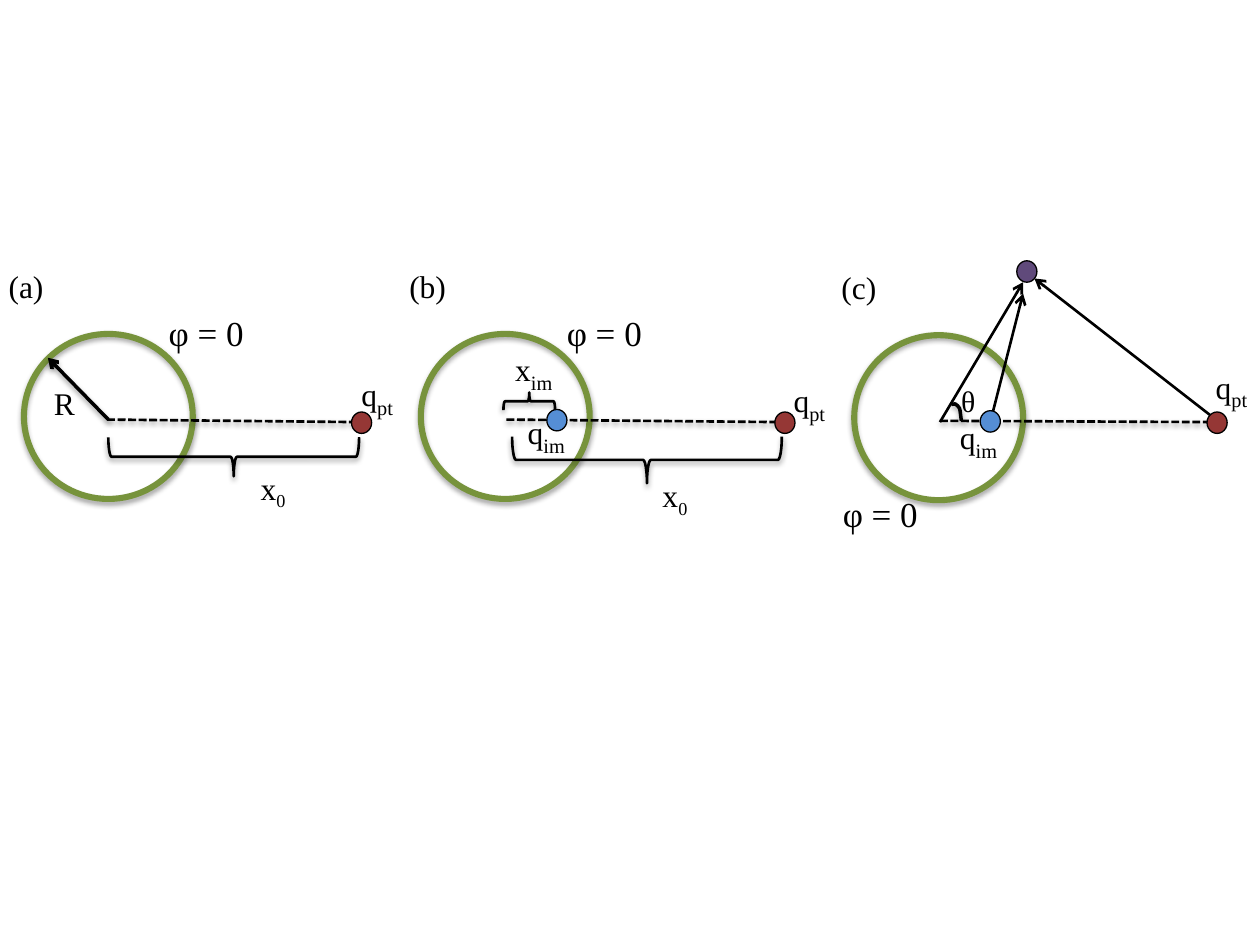
from dataclasses import dataclass
from typing import Optional

from lxml.etree import SubElement
from pptx import Presentation
from pptx.dml.color import RGBColor
from pptx.enum.dml import MSO_LINE
from pptx.enum.shapes import MSO_CONNECTOR, MSO_SHAPE
from pptx.enum.text import MSO_AUTO_SIZE
from pptx.oxml.ns import qn
from pptx.util import Inches, Pt

COLUMNS, ROWS = 100, 75
SLIDE_WIDTH, SLIDE_HEIGHT = Inches(10), Inches(7.5)
FONT = "Times New Roman"
BLACK, GREEN, RED, BLUE, PURPLE = "000000", "77933C", "953735", "558ED5", "604A7B"
SPHERE_SIZE = (13.4, 13.1)
CHARGE_SIZE = (1.6, 1.7)

Point = tuple[float, float]


@dataclass(frozen=True)
class Shadow:
    opacity: int
    blur: float
    distance: float


SPHERE_SHADOW = Shadow(35, 3.1, 1.8)
LINE_SHADOW = Shadow(38, 3.1, 1.6)


@dataclass(frozen=True)
class Label:
    position: Point
    text: str
    subscript: str = ""
    width: float = 6.6
    size: float = 18
    subscript_size: float = 20


@dataclass(frozen=True)
class Arrow:
    start: Point
    end: Point
    weight: float = 1.5
    shadow: Optional[Shadow] = None


@dataclass(frozen=True)
class Brace:
    position: Point
    width: float
    height: float
    rotation: int = 270


@dataclass(frozen=True)
class Charge:
    position: Point
    color: str


@dataclass(frozen=True)
class Panel:
    sphere: Point
    axis: tuple[Point, Point]
    arrows: list[Arrow]
    braces: list[Brace]
    charges: list[Charge]
    labels: list[Label]


def potential(position: Point) -> Label:
    return Label(position, "φ = 0", width=9.5, size=20)


def distance(position: Point) -> Label:
    return Label(position, "x", "0", subscript_size=18)


PANELS = [
    Panel(
        sphere=(1.9, 26.5),
        axis=((8.5, 33.3), (28.5, 33.5)),
        arrows=[Arrow((8.6, 33.3), (3.8, 28.4), 2, LINE_SHADOW)],
        braces=[Brace((8.6, 34.7), 19.9, 3.1)],
        charges=[Charge((27.9, 32.7), RED)],
        labels=[
            Label((-0.3, 20.7), "(a)"),
            potential((12.4, 24.2)),
            Label((3.3, 30), "R", width=3.9),
            Label((27.7, 29), "q", "pt", width=5.1),
            distance((19.7, 36.7)),
        ],
    ),
    Panel(
        sphere=(33.4, 26.5),
        axis=((40.2, 33.3), (62, 33.5)),
        arrows=[],
        braces=[Brace((39.95, 31.15), 4.1, 1.4, 90), Brace((40.65, 34.65), 21.4, 3.7)],
        charges=[Charge((61.5, 32.7), RED), Charge((43.4, 32.5), BLUE)],
        labels=[
            Label((31.5, 20.7), "(b)"),
            potential((44, 24.2)),
            Label((39.9, 27), "x", "im"),
            Label((40.9, 32), "q", "im"),
            Label((62, 29.5), "q", "pt"),
            distance((51.6, 37.3)),
        ],
    ),
    Panel(
        sphere=(67.8, 26.6),
        axis=((74.6, 33.4), (96.4, 33.5)),
        arrows=[
            Arrow((74.6, 33.5), (81.2, 22.4)),
            Arrow((78.8, 32.7), (81.2, 23.3)),
            Arrow((96.5, 33.3), (82.1, 22.1)),
        ],
        braces=[],
        charges=[
            Charge((95.8, 32.7), RED),
            Charge((77.8, 32.6), BLUE),
            Charge((80.7, 20.7), PURPLE),
        ],
        labels=[
            Label((65.8, 20.8), "(c)"),
            potential((65.9, 38.6)),
            Label((75.2, 32.4), "q", "im", width=6.9),
            Label((95.5, 28.4), "q", "pt"),
            Label((75.3, 29.9), "θ", width=3.2, size=17),
        ],
    ),
]
ANGLE_ARC = [(75.5, 32.1), (75.8, 32.05), (76, 32.2), (76.15, 32.4),
             (76.2, 32.6), (76.25, 33), (76.3, 33.4)]


def column(count: float) -> int:
    return round(SLIDE_WIDTH * count / COLUMNS)


def row(count: float) -> int:
    return round(SLIDE_HEIGHT * count / ROWS)


def color(value: str) -> RGBColor:
    return RGBColor.from_string(value)


def set_line(shape, value: str, weight: float) -> None:
    shape.line.color.rgb = color(value)
    shape.line.width = Pt(weight)


def set_shadow(shape, shadow: Optional[Shadow]) -> None:
    effects = SubElement(shape._element.spPr, qn("a:effectLst"))
    if shadow:
        outer = SubElement(effects, qn("a:outerShdw"), blurRad=str(Pt(shadow.blur)),
                           dist=str(Pt(shadow.distance)), dir="5400000", rotWithShape="0")
        black = SubElement(outer, qn("a:srgbClr"), val=BLACK)
        SubElement(black, qn("a:alpha"), val=str(shadow.opacity * 1000))


def add_ellipse(slide, position: Point, size: Point, line: str, weight: float,
                fill: Optional[str] = None, shadow: Optional[Shadow] = None) -> None:
    ellipse = slide.shapes.add_shape(MSO_SHAPE.OVAL, column(position[0]), row(position[1]),
                                     column(size[0]), row(size[1]))
    if fill:
        ellipse.fill.solid()
        ellipse.fill.fore_color.rgb = color(fill)
    else:
        ellipse.fill.background()
    set_line(ellipse, line, weight)
    set_shadow(ellipse, shadow)


def add_line(slide, start: Point, end: Point, weight: float, shadow: Optional[Shadow],
             arrow: bool) -> None:
    connector = slide.shapes.add_connector(MSO_CONNECTOR.STRAIGHT, column(start[0]), row(start[1]),
                                           column(end[0]), row(end[1]))
    set_line(connector, BLACK, weight)
    if arrow:
        SubElement(connector.line._get_or_add_ln(), qn("a:tailEnd"), type="arrow")
    else:
        connector.line.dash_style = MSO_LINE.SQUARE_DOT
    set_shadow(connector, shadow)


def add_brace(slide, brace: Brace) -> None:
    offset = (brace.width - brace.height) / 2
    shape = slide.shapes.add_shape(MSO_SHAPE.LEFT_BRACE, column(brace.position[0] + offset),
                                   row(brace.position[1] - offset),
                                   column(brace.height), row(brace.width))
    shape.rotation = brace.rotation
    shape.fill.background()
    set_line(shape, BLACK, 1.5)
    set_shadow(shape, LINE_SHADOW)


def add_label(slide, label: Label) -> None:
    box = slide.shapes.add_textbox(column(label.position[0]), row(label.position[1]),
                                   column(label.width), row(label.size * 0.22))
    box.text_frame.word_wrap = True
    box.text_frame.auto_size = MSO_AUTO_SIZE.SHAPE_TO_FIT_TEXT
    paragraph = box.text_frame.paragraphs[0]
    for text, size in ((label.text, label.size), (label.subscript, label.subscript_size)):
        if text:
            run = paragraph.add_run()
            run.text = text
            run.font.name = FONT
            run.font.size = Pt(size)
            run.font.color.rgb = color(BLACK)
    if label.subscript:
        run.font._element.set("baseline", "-25000")


def add_arc(slide, points: list[Point]) -> None:
    first, *rest = [(column(x), row(y)) for x, y in points]
    builder = slide.shapes.build_freeform(*first)
    builder.add_line_segments(rest, close=False)
    arc = builder.convert_to_shape()
    arc.fill.background()
    set_line(arc, BLACK, 2)
    set_shadow(arc, LINE_SHADOW)


def add_panel(slide, panel: Panel) -> None:
    add_ellipse(slide, panel.sphere, SPHERE_SIZE, GREEN, 3.5, shadow=SPHERE_SHADOW)
    for arrow in panel.arrows:
        add_line(slide, arrow.start, arrow.end, arrow.weight, arrow.shadow, True)
    add_line(slide, *panel.axis, 1.5, LINE_SHADOW, False)
    for brace in panel.braces:
        add_brace(slide, brace)
    for charge in panel.charges:
        add_ellipse(slide, charge.position, CHARGE_SIZE, BLACK, 0.75, charge.color)
    for label in panel.labels:
        add_label(slide, label)


def main() -> None:
    presentation = Presentation()
    presentation.slide_width, presentation.slide_height = SLIDE_WIDTH, SLIDE_HEIGHT
    slide = presentation.slides.add_slide(presentation.slide_layouts[6])
    for panel in PANELS:
        add_panel(slide, panel)
    add_arc(slide, ANGLE_ARC)
    presentation.save("out.pptx")


if __name__ == "__main__":
    main()
